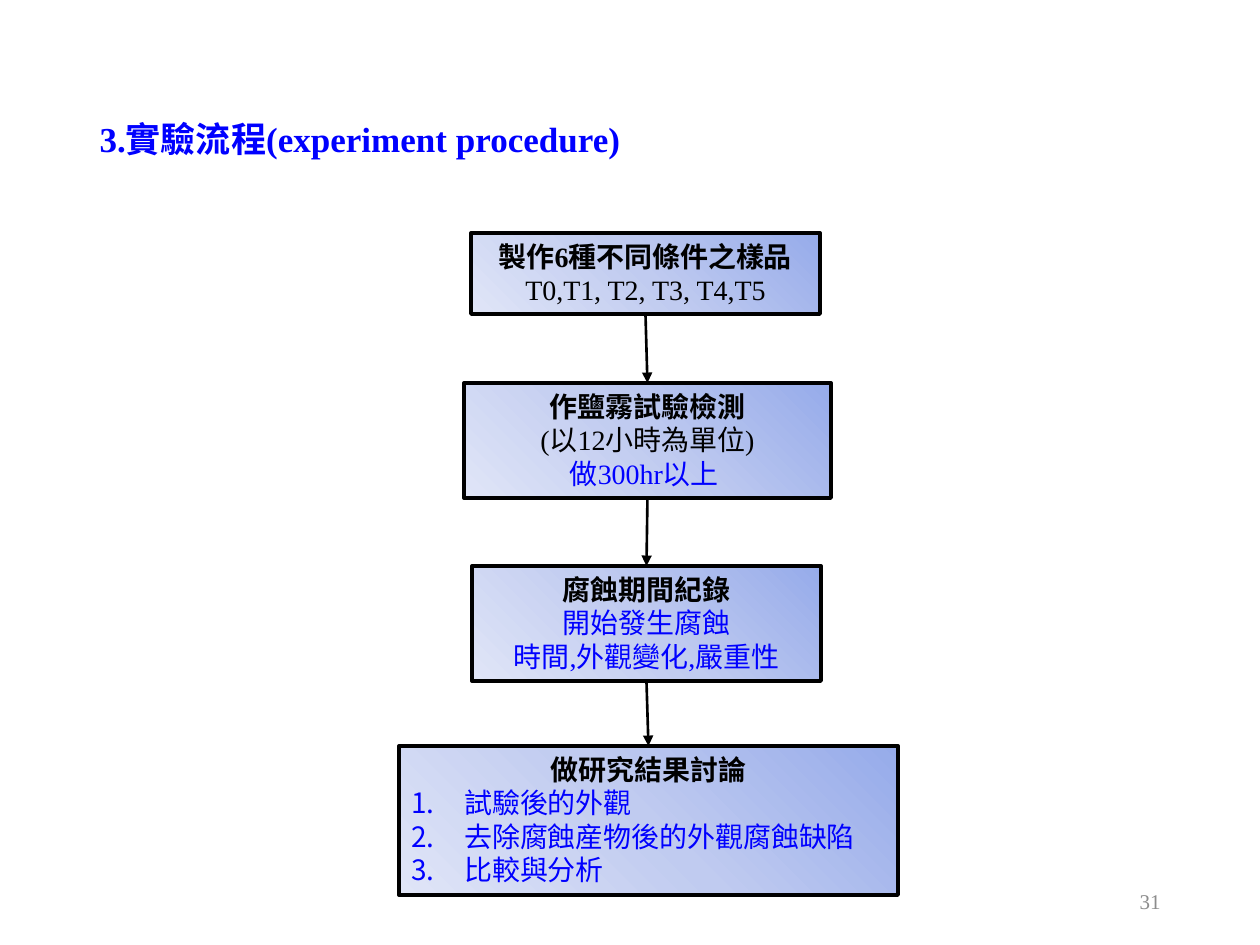
from copy import deepcopy

from lxml import etree
from pptx import Presentation
from pptx.dml.color import RGBColor
from pptx.enum import shapes, text
from pptx.oxml.ns import qn
from pptx.util import Inches, Pt

PX = Inches(1) / 126
FONT = "Times New Roman"
BLACK, BLUE, GRAY = "000000", "0000FF", "8C8C8C"
GRADIENT = ("96ABEA", "C0CBF0", "E0E5F7")
CENTER, LEFT, RIGHT = (text.PP_ALIGN.CENTER, text.PP_ALIGN.LEFT,
                       text.PP_ALIGN.RIGHT)

# Each step: position in px, then lines of (text, colour, bold, numbered)
STEPS = [
    ((471, 233, 349, 81), [
        ("製作6種不同條件之樣品", BLACK, True, False),
        ("T0,T1, T2, T3, T4,T5", BLACK, False, False)]),
    ((464, 383, 367, 115), [
        ("作鹽霧試驗檢測", BLACK, True, False),
        ("(以12小時為單位)", BLACK, False, False),
        ("做300hr以上 ", BLUE, False, False)]),
    ((472, 566, 349, 115), [
        ("腐蝕期間紀錄", BLACK, True, False),
        ("開始發生腐蝕", BLUE, False, False),
        ("時間,外觀變化,嚴重性", BLUE, False, False)]),
    ((399, 746, 499, 149), [
        ("做研究結果討論", BLACK, True, False),
        ("試驗後的外觀", BLUE, False, True),
        ("去除腐蝕産物後的外觀腐蝕缺陷", BLUE, False, True),
        ("比較與分析", BLUE, False, True)]),
]


def px(*lengths):
    return [round(n * PX) for n in lengths]


def rgb(color):
    return RGBColor.from_string(color)


def add_run(p, content, size, color, bold=False):
    r = p.add_run()
    r.text = content
    r.font.name, r.font.size, r.font.bold = FONT, Pt(size), bold
    r.font.color.rgb = rgb(color)


def number_paragraph(p):
    """Turn a paragraph into an automatically numbered list item."""
    pPr = p._p.get_or_add_pPr()
    indent = Inches(0.42)
    pPr.set("marL", str(indent))
    pPr.set("indent", str(-indent))
    etree.SubElement(pPr, qn("a:buFont")).set("typeface", "+mj-lt")
    etree.SubElement(pPr, qn("a:buAutoNum")).set("type", "arabicPeriod")


def fill_gradient(fill):
    """Apply the three-stop diagonal gradient, darkest at the top right."""
    fill.gradient()
    fill.gradient_angle = 225
    first = fill._xPr.find(".//" + qn("a:gs"))
    middle = deepcopy(first)
    middle.set("pos", "50000")
    first.addnext(middle)
    for stop, color in zip(fill.gradient_stops, GRADIENT):
        stop.color.rgb = rgb(color)


def add_title(s, content):
    title = s.shapes.title
    title.left, title.top, title.width, title.height = px(87, 50, 1086, 183)
    tf = title.text_frame
    tf.vertical_anchor = text.MSO_ANCHOR.MIDDLE
    p = tf.paragraphs[0]
    p.alignment, p.line_spacing = LEFT, 0.9
    add_run(p, content, 20, BLUE, True)


def add_step(s, box, lines):
    sp = s.shapes.add_shape(shapes.MSO_SHAPE.RECTANGLE, *px(*box))
    sp.shadow.inherit = False
    fill_gradient(sp.fill)
    sp.line.color.rgb, sp.line.width = rgb(BLACK), Pt(2.25)
    tf = sp.text_frame
    tf.word_wrap = True
    tf.auto_size = text.MSO_AUTO_SIZE.SHAPE_TO_FIT_TEXT
    tf.vertical_anchor = text.MSO_ANCHOR.TOP
    for i, (content, color, bold, numbered) in enumerate(lines):
        p = tf.add_paragraph() if i else tf.paragraphs[0]
        p.alignment = LEFT if numbered else CENTER
        if numbered:
            number_paragraph(p)
        add_run(p, content, 16, color, bold)
    return sp


def add_arrow(s, upper, lower):
    arrow = s.shapes.add_connector(shapes.MSO_CONNECTOR.STRAIGHT, 0, 0, 0, 0)
    arrow.begin_connect(upper, 2)
    arrow.end_connect(lower, 0)
    arrow.line.color.rgb, arrow.line.width = rgb(BLACK), Pt(1.5)
    ln = arrow.line._get_or_add_ln()
    etree.SubElement(ln, qn("a:tailEnd")).set("type", "triangle")
    etree.SubElement(arrow._element.spPr, qn("a:effectLst"))


def add_page_number(s, number):
    tf = s.shapes.add_textbox(*px(890, 876, 283, 50)).text_frame
    tf.word_wrap = True
    tf.vertical_anchor = text.MSO_ANCHOR.MIDDLE
    p = tf.paragraphs[0]
    p.alignment = RIGHT
    add_run(p, number, 12, GRAY)


def main():
    prs = Presentation()
    prs.slide_width, prs.slide_height = Inches(10), Inches(7.5)
    s = prs.slides.add_slide(prs.slide_layouts[5])
    add_title(s, "3.實驗流程(experiment procedure)")
    steps = [add_step(s, box, lines) for box, lines in STEPS]
    for upper, lower in zip(steps, steps[1:]):
        add_arrow(s, upper, lower)
    add_page_number(s, "31")
    prs.save("out.pptx")


if __name__ == "__main__":
    main()
